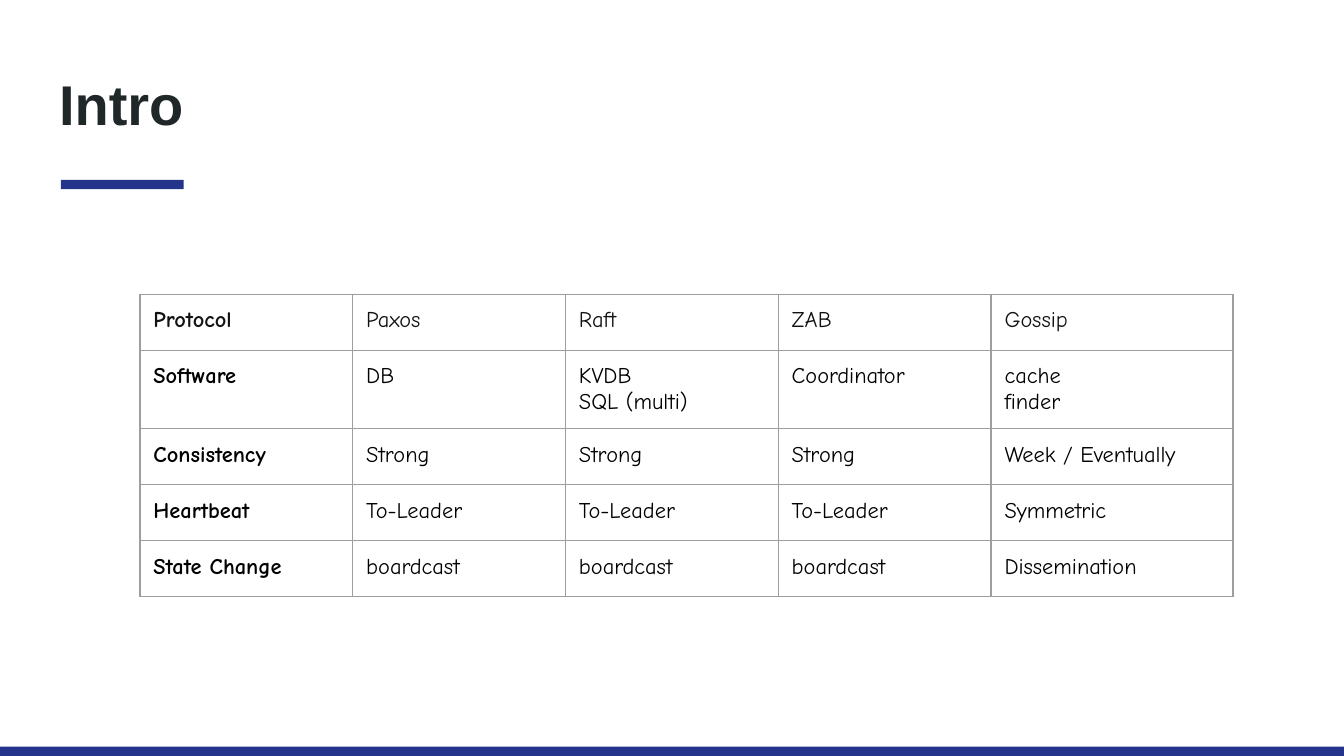
import pptx
import pptx.dml.color
import pptx.enum.shapes
import pptx.enum.text
import pptx.oxml
import pptx.oxml.ns
import pptx.util

Pt = pptx.util.Pt

TITLE = "Intro"
PROTOCOLS = [
    ("Protocol", "Paxos", "Raft", "ZAB", "Gossip"),
    ("Software", "DB", "KVDB\nSQL (multi)", "Coordinator", "cache\nfinder"),
    ("Consistency", "Strong", "Strong", "Strong", "Week / Eventually"),
    ("Heartbeat", "To-Leader", "To-Leader", "To-Leader", "Symmetric"),
    ("State Change", "boardcast", "boardcast", "boardcast", "Dissemination"),
]
COLUMN_WIDTHS = [114, 114, 114, 114, 129.6]
ROW_HEIGHTS = [30, 42, 30, 30, 30]
TABLE_LEFT, TABLE_TOP = 75, 157.6
INSET = 7.2
BLUE, GREY = "23348A", "9E9E9E"
BARS = [(32.6, 96.4, 65.8, 4.9), (0, 400, 720, 5)]
MARGINS = dict.fromkeys(
    ("margin_left", "margin_right", "margin_top", "margin_bottom"), Pt(INSET))


def rgb(value):
    return pptx.dml.color.RGBColor.from_string(value)


def set_values(target, values):
    for name, value in values.items():
        setattr(target, name, value)


def format_text(frame, color, **font_values):
    for paragraph in frame.paragraphs:
        paragraph.alignment = pptx.enum.text.PP_ALIGN.LEFT
        for run in paragraph.runs:
            set_values(run.font, font_values)
            run.font.color.rgb = rgb(color)


def add_borders(cell):
    properties = cell._tc.get_or_add_tcPr()
    for position, side in enumerate(("lnL", "lnR", "lnT", "lnB")):
        border = pptx.oxml.parse_xml(
            f'<a:{side} {pptx.oxml.ns.nsdecls("a")} w="{Pt(0.75)}">'
            f'<a:solidFill><a:srgbClr val="{GREY}"/></a:solidFill></a:{side}>')
        properties.insert(position, border)


def add_bar(slide, box):
    bar = slide.shapes.add_shape(
        pptx.enum.shapes.MSO_SHAPE.RECTANGLE, *map(Pt, box))
    bar.shadow.inherit = False
    bar.fill.solid()
    bar.fill.fore_color.rgb = rgb(BLUE)
    bar.line.fill.background()


def add_title(slide):
    title = slide.shapes.title
    set_values(title, {"left": Pt(24.5), "top": Pt(35.3),
                       "width": Pt(671), "height": Pt(45.4)})
    title.text_frame.text = TITLE
    set_values(title.text_frame, MARGINS | {
        "vertical_anchor": pptx.enum.text.MSO_ANCHOR.BOTTOM,
        "auto_size": pptx.enum.text.MSO_AUTO_SIZE.NONE,
        "word_wrap": True})
    format_text(title.text_frame, "202729", name="Arial", size=Pt(30), bold=True)


def add_protocol_table(slide):
    table = slide.shapes.add_table(
        len(PROTOCOLS), len(COLUMN_WIDTHS), Pt(TABLE_LEFT), Pt(TABLE_TOP),
        Pt(sum(COLUMN_WIDTHS)), Pt(sum(ROW_HEIGHTS))).table
    set_values(table, {"first_row": False, "horz_banding": False})
    for column, width in zip(table.columns, COLUMN_WIDTHS):
        column.width = Pt(width)
    for row, height, labels in zip(table.rows, ROW_HEIGHTS, PROTOCOLS):
        row.height = Pt(height)
        color = "121212" if labels is PROTOCOLS[0] else "000000"
        for index, (cell, label) in enumerate(zip(row.cells, labels)):
            cell.text_frame.text = label
            set_values(cell, MARGINS)
            cell.fill.background()
            add_borders(cell)
            format_text(cell.text_frame, color, name="Comic Neue",
                        size=Pt(12), bold=index == 0)


def main():
    presentation = pptx.Presentation()
    set_values(presentation, {"slide_width": Pt(720), "slide_height": Pt(405)})
    slide = presentation.slides.add_slide(presentation.slide_layouts[5])
    for box in BARS:
        add_bar(slide, box)
    add_title(slide)
    add_protocol_table(slide)
    presentation.save("out.pptx")


if __name__ == "__main__":
    main()
